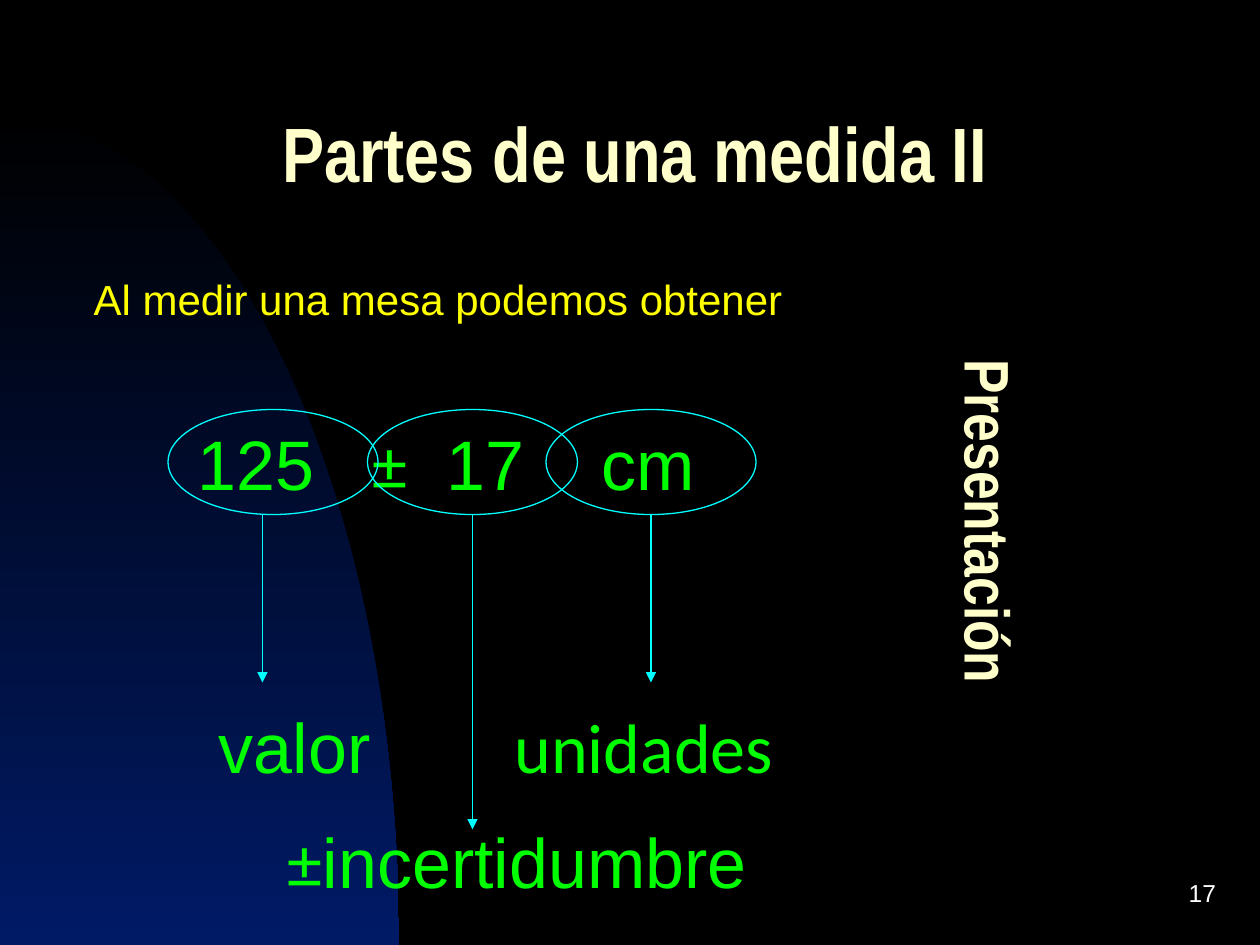
import math
from dataclasses import dataclass

from lxml import etree
from pptx import Presentation
from pptx.dml.color import RGBColor
from pptx.enum import shapes, text
from pptx.oxml import ns
from pptx.util import Pt


@dataclass(frozen=True)
class Theme:
    background: str = "000000"
    glow: str = "001A66"
    heading: str = "FFFFCC"
    intro: str = "FFFF00"
    measure: str = "00FF00"
    outline: str = "00FFFF"
    number: str = "FFFFFF"
    title_size: int = 44
    side_size: int = 36
    measure_size: int = 40
    intro_size: int = 24
    number_size: int = 14


theme = Theme()


def format_font(font, face, size, color, bold=False):
    font.name = face
    font.size = Pt(size)
    font.bold = bold
    font.color.rgb = RGBColor.from_string(color)


def add_label(box, words, size, color, indent=0):
    label = slide.shapes.add_textbox(*map(Pt, box))
    frame = label.text_frame
    frame.margin_left = Pt(indent)
    frame.margin_top = frame.margin_right = frame.margin_bottom = 0
    frame.word_wrap = True
    frame.auto_size = text.MSO_AUTO_SIZE.SHAPE_TO_FIT_TEXT
    paragraph = frame.paragraphs[0]
    for content, face in words:
        run = paragraph.add_run()
        run.text = content
        if len(words) > 1:
            format_font(run.font, face, size, color)
    if len(words) == 1:
        format_font(paragraph.font, words[0][1], size, color)
    return frame


deck = Presentation()
deck.slide_width, deck.slide_height = Pt(720), Pt(540)
slide = deck.slides.add_slide(deck.slide_layouts[5])
slide.background.fill.solid()
slide.background.fill.fore_color.rgb = RGBColor.from_string(theme.background)

title = slide.shapes.title
title.left, title.top, title.width, title.height = map(Pt, (30, 48, 666, 90))
title.text_frame.text = "Partes de una medida II"
title.text_frame.auto_size = text.MSO_AUTO_SIZE.NONE
title.text_frame.vertical_anchor = text.MSO_ANCHOR.MIDDLE
heading = title.text_frame.paragraphs[0]
heading.alignment = text.PP_ALIGN.CENTER
heading.line_spacing = 0.7
format_font(heading.font, "Arial Narrow", theme.title_size, theme.heading, True)

arc_width, arc_height, arc_steps = 228, 474, 90
angles = [math.pi / 2 * step / arc_steps for step in range(arc_steps + 1)]
arc = [(Pt(arc_width * math.sin(a)), Pt(540 - arc_height * math.cos(a))) for a in angles]
outline = slide.shapes.build_freeform(0, Pt(540))
outline.add_line_segments(arc, close=True)
glow = outline.convert_to_shape()
glow.shadow.inherit = False
glow.line.fill.background()
glow.fill.gradient()
glow.fill.gradient_angle = 270
for stop, color in zip(glow.fill.gradient_stops, (theme.background, theme.glow)):
    stop.color.rgb = RGBColor.from_string(color)
title.element.addprevious(glow.element)

add_label((48, 156, 468, 29), [("Al medir una mesa podemos obtener", "Arial")],
          theme.intro_size, theme.intro, 5.5)

formula = add_label((102, 240, 354, 48),
                    [("125\t", "Arial"), ("±", "Calibri"), ("\t17\tcm", "Arial")],
                    theme.measure_size, theme.measure, 11)
tab_list = etree.SubElement(formula.paragraphs[0]._p.get_or_add_pPr(), ns.qn("a:tabLst"))
for position in (100, 142, 231):
    etree.SubElement(tab_list, ns.qn("a:tab"), pos=str(Pt(position)), algn="l")

for ring_left, arrow_x, arrow_end in ((96, 150, 390), (210, 270, 474), (312, 372, 390)):
    ring = slide.shapes.add_shape(shapes.MSO_SHAPE.OVAL, Pt(ring_left), Pt(234), Pt(120), Pt(60))
    ring.shadow.inherit = False
    ring.fill.background()
    arrow = slide.shapes.add_connector(shapes.MSO_CONNECTOR.STRAIGHT, Pt(arrow_x), Pt(294),
                                       Pt(arrow_x), Pt(arrow_end))
    for part in (ring, arrow):
        part.line.color.rgb = RGBColor.from_string(theme.outline)
        part.line.width = Pt(0.75)
    etree.SubElement(arrow.line._get_or_add_ln(), ns.qn("a:tailEnd"), type="triangle")
    etree.SubElement(arrow.element.spPr, ns.qn("a:effectLst"))

for box, words, indent in (
    ((114, 402, 114, 96), [("valor", "Arial")], 11),
    ((120, 468, 354, 48), [("±", "Calibri"), ("incertidumbre", "Arial")], 44.5),
    ((276, 402, 198, 48), [("unidades", "Calibri")], 18),
):
    add_label(box, words, theme.measure_size, theme.measure, indent)

side = add_label((534, 198, 45, 306), [("Presentación", "Arial Narrow")],
                 theme.side_size, theme.heading, 3.6)
side.margin_right = Pt(3.6)
side.margin_top = side.margin_bottom = Pt(7.2)
side._txBody.bodyPr.set("vert", "eaVert")
side.paragraphs[0].alignment = text.PP_ALIGN.CENTER
side.paragraphs[0].line_spacing = 0.7
side.paragraphs[0].font.bold = True

number = add_label((552, 492, 150, 36), [("17", "Arial")], theme.number_size, theme.number)
number.auto_size = text.MSO_AUTO_SIZE.NONE
number.margin_right = Pt(7.2)
number.vertical_anchor = text.MSO_ANCHOR.MIDDLE
number.paragraphs[0].alignment = text.PP_ALIGN.RIGHT

deck.save("out.pptx")
